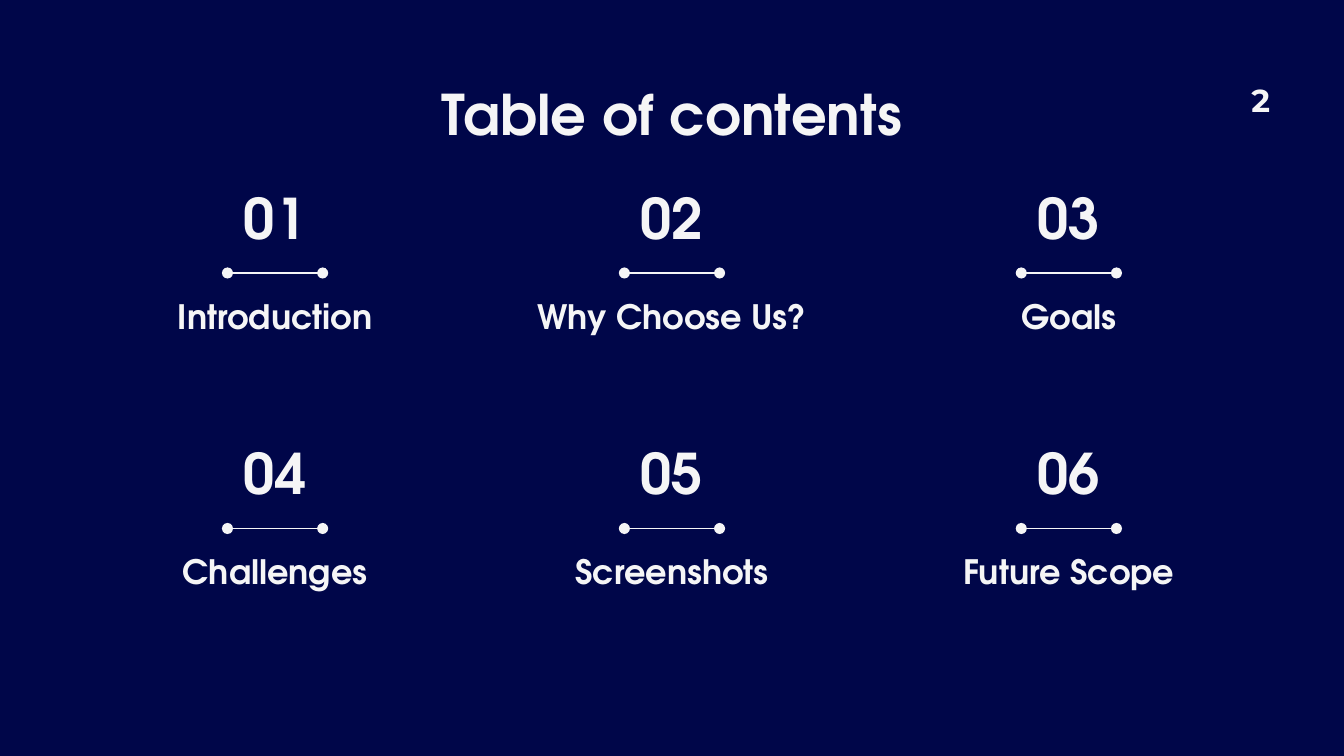
from dataclasses import dataclass

from lxml import etree
from pptx import Presentation
from pptx import util as u
from pptx.dml.color import RGBColor
from pptx.enum import shapes, text
from pptx.oxml.ns import qn

SLIDE_W, SLIDE_H = 1920, 1080
EMU_PER_PX = 914400 / 192


@dataclass(frozen=True)
class Theme:
    background: RGBColor = RGBColor(0x00, 0x06, 0x49)
    ink: RGBColor = RGBColor(0xF5, 0xF5, 0xF6)
    font: str = "TeX Gyre Adventor"
    number_font: str = "Montserrat"
    heading: int = 30
    label: int = 18
    page: int = 17
    rule: float = 0.75


THEME = Theme()


def px(n):
    return u.Emu(round(n * EMU_PER_PX))


def write(sp, words, size, font=THEME.font, anchor=text.MSO_ANCHOR.TOP):
    """Format a text shape and fill it with one centred run."""
    tf = sp.text_frame
    tf.word_wrap = True
    tf.auto_size = text.MSO_AUTO_SIZE.NONE
    tf.vertical_anchor = anchor
    tf.margin_left = tf.margin_right = u.Inches(0.1)
    tf.margin_top = tf.margin_bottom = u.Inches(0.1)
    p = tf.paragraphs[0]
    p.alignment = text.PP_ALIGN.CENTER
    r = p.add_run()
    r.text = words
    r.font.name, r.font.size, r.font.bold = font, u.Pt(size), True
    r.font.color.rgb = THEME.ink


def add_text(s, box, words, size, **style):
    write(s.shapes.add_textbox(*map(px, box)), words, size, **style)


def add_dotted_rule(s, x, y, w):
    """Horizontal line with a round dot at each end."""
    line = s.shapes.add_connector(shapes.MSO_CONNECTOR.STRAIGHT,
                                  px(x), px(y), px(x + w), px(y))
    line.line.color.rgb = THEME.ink
    line.line.width = u.Pt(THEME.rule)
    ln = line.line._get_or_add_ln()
    for end in ("a:headEnd", "a:tailEnd"):
        etree.SubElement(ln, qn(end), type="oval")
    etree.SubElement(line._element.spPr, qn("a:effectLst"))


def add_title(s, box, words):
    sp = s.shapes.title
    sp.left, sp.top, sp.width, sp.height = map(px, box)
    write(sp, words, THEME.heading)


def add_entry(s, box, number, label):
    """Number, rule and label, stacked and centred in the box."""
    x, y, w, h = box
    number_w, rule_w, label_top = 175, 136, 140
    add_text(s, (x + (w - number_w) / 2, y, number_w, 94), f"{number:02}",
             THEME.heading, anchor=text.MSO_ANCHOR.MIDDLE)
    add_dotted_rule(s, x + (w - rule_w) / 2, y + 127, rule_w)
    add_text(s, (x, y + label_top, w, h - label_top), label, THEME.label)


def add_contents(s, box, labels, columns=3):
    """Grid of entries, filled row by row."""
    x, y, w, h = box
    entry_w, entry_h = 484, 307
    rows = len(labels) // columns
    step_x = (w - entry_w) / (columns - 1)
    step_y = (h - entry_h) / (rows - 1)
    for i, label in enumerate(labels):
        row, col = divmod(i, columns)
        add_entry(s, (x + col * step_x, y + row * step_y, entry_w, entry_h),
                  i + 1, label)


def main():
    prs = Presentation()
    prs.slide_width, prs.slide_height = px(SLIDE_W), px(SLIDE_H)
    s = prs.slides.add_slide(prs.slide_layouts[5])
    s.background.fill.solid()
    s.background.fill.fore_color.rgb = THEME.background

    # Page number
    add_text(s, (1759, 96, 84, 94), "2", THEME.page, font=THEME.number_font)
    # Title
    add_title(s, (151, 94, 1618, 121), "Table of contents")
    # Contents grid
    add_contents(s, (151, 263, 1618, 672),
                 ["Introduction", "Why Choose Us?", "Goals",
                  "Challenges", "Screenshots", "Future Scope"])
    prs.save("out.pptx")


if __name__ == "__main__":
    main()
